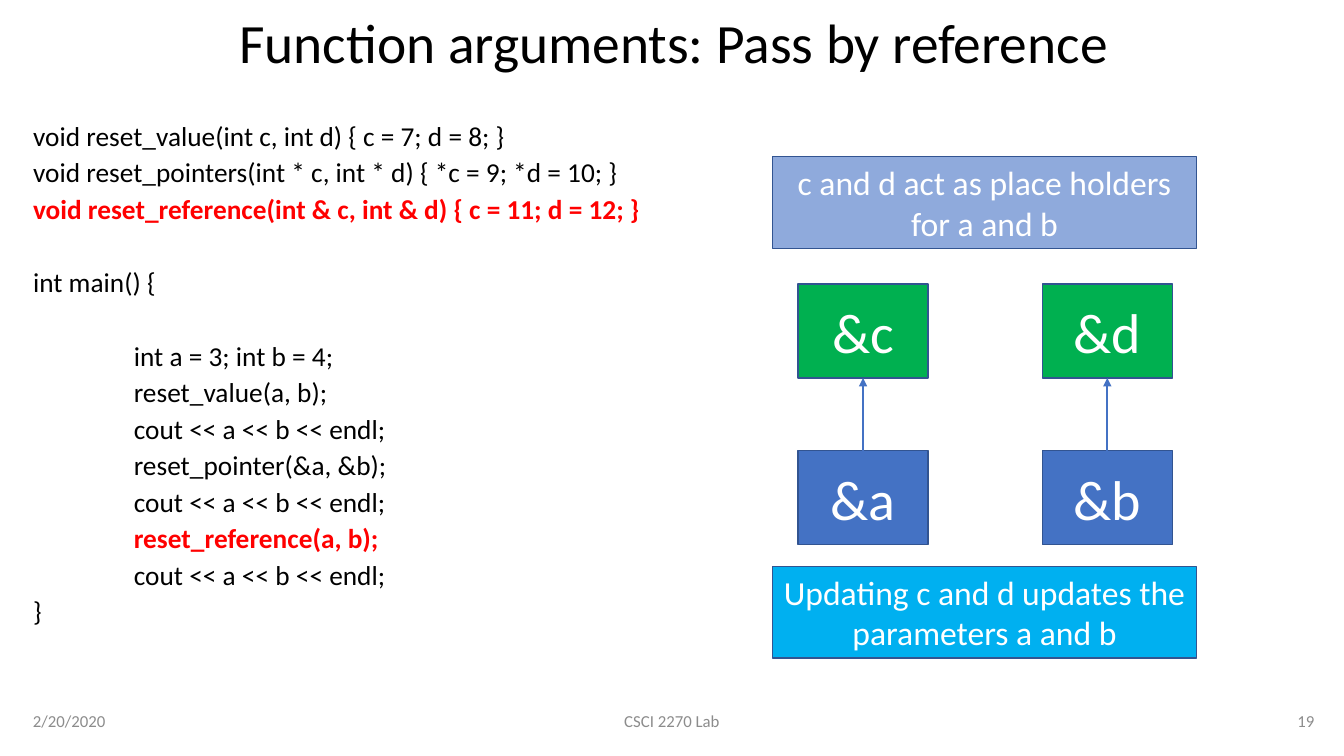
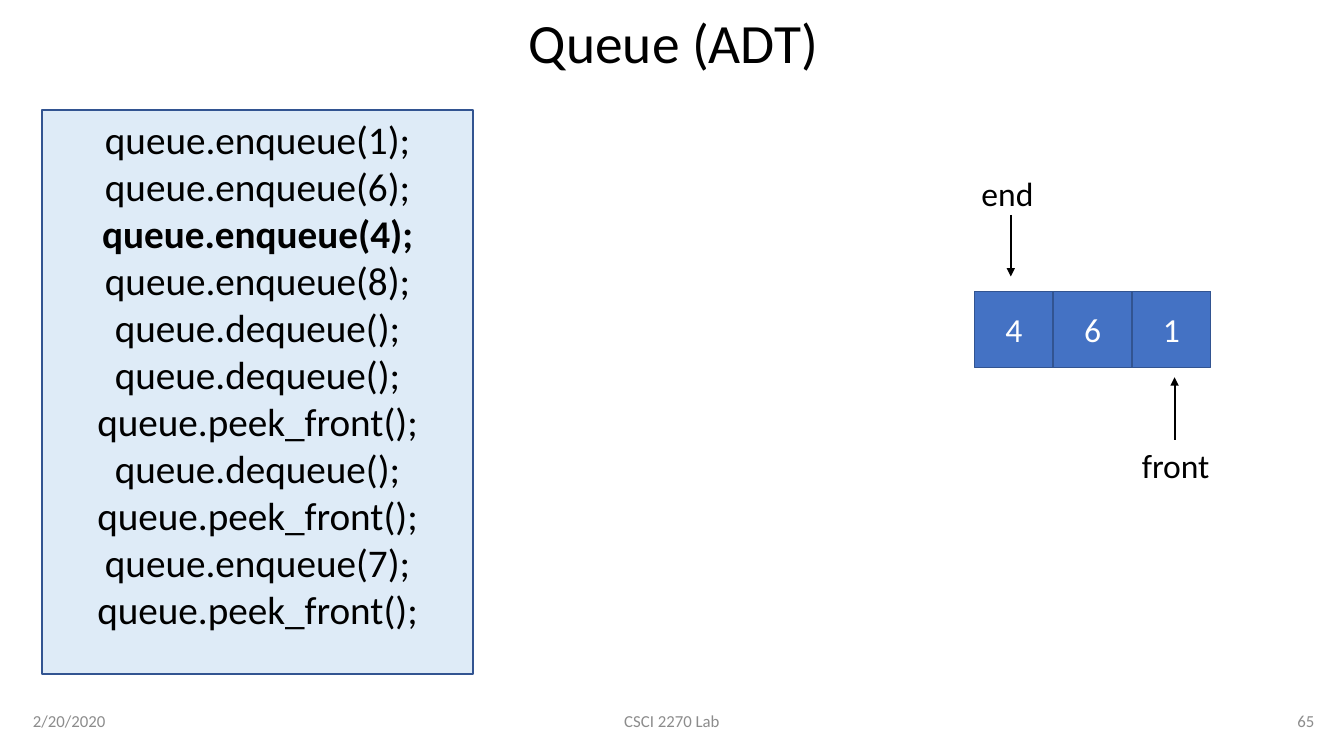
"""Build two lecture slides on pass by reference and the queue ADT."""
import dataclasses

import lxml.etree
import pptx
import pptx.dml.color
import pptx.enum.shapes
import pptx.enum.text
import pptx.oxml.ns
import pptx.util

Pt = pptx.util.Pt
ALIGN = pptx.enum.text.PP_ALIGN
ANCHOR = pptx.enum.text.MSO_ANCHOR


@dataclasses.dataclass(frozen=True)
class Theme:
    font: str = "Calibri"
    ink: str = "000000"
    paper: str = "FFFFFF"
    muted: str = "8C8C8C"
    accent: str = "FF0000"
    outline: str = "325491"
    blue: str = "4472C4"
    green: str = "00B050"
    periwinkle: str = "8FAADC"
    sky: str = "00B0F0"
    pale: str = "DEEBF7"
    title: float = 39.6
    node: float = 40
    listing: float = 28
    label: float = 24
    code: float = 19.5
    footer: float = 12


THEME = Theme()
FOOTER_TOP, FOOTER_HEIGHT = 500, 29
CODE_SPACING, CODE_GAP, CODE_BLANK_GAP = 0.7, 9.7, 36.1
CODE_INDENT = 72

FUNCTIONS = [
    "void reset_value(int c, int d) { c = 7; d = 8; }",
    "void reset_pointers(int * c, int * d) { *c = 9; *d = 10; }",
    "void reset_reference(int & c, int & d) { c = 11; d = 12; }",
]
MAIN_BODY = [
    "int a = 3; int b = 4;",
    "reset_value(a, b);",
    "cout << a << b << endl;",
    "reset_pointer(&a, &b);",
    "cout << a << b << endl;",
    "reset_reference(a, b);",
    "cout << a << b << endl;",
]
QUEUE_CALLS = [
    "queue.enqueue(1);",
    "queue.enqueue(6);",
    "queue.enqueue(4);",
    "queue.enqueue(8);",
    "queue.dequeue();",
    "queue.dequeue();",
    "queue.peek_front();",
    "queue.dequeue();",
    "queue.peek_front();",
    "queue.enqueue(7);",
    "queue.peek_front();",
]


def rgb(color):
    return pptx.dml.color.RGBColor.from_string(color)


def place(sp, left, top, width, height):
    sp.left, sp.top, sp.width, sp.height = map(Pt, (left, top, width, height))


def style(p, size, color, align=ALIGN.LEFT, bold=False):
    p.alignment = align
    p.font.name = THEME.font
    p.font.size = Pt(size)
    p.font.bold = bold
    p.font.color.rgb = rgb(color)


def write(tf, lines, size, color, align=ALIGN.LEFT, anchor=ANCHOR.TOP, bold=()):
    tf.word_wrap = True
    tf.auto_size = pptx.enum.text.MSO_AUTO_SIZE.NONE
    tf.vertical_anchor = anchor
    tf.text = "\n".join(lines)
    for p in tf.paragraphs:
        style(p, size, color, align, p.text in bold)


def add_text(s, text, box, size, color, align=ALIGN.LEFT, anchor=ANCHOR.TOP):
    sp = s.shapes.add_textbox(*map(Pt, box))
    write(sp.text_frame, [text], size, color, align, anchor)


def add_box(s, lines, box, fill, size, color=THEME.paper, anchor=ANCHOR.MIDDLE, bold=()):
    sp = s.shapes.add_shape(pptx.enum.shapes.MSO_SHAPE.RECTANGLE, *map(Pt, box))
    sp.shadow.inherit = False
    sp.fill.solid()
    sp.fill.fore_color.rgb = rgb(fill)
    sp.line.color.rgb = rgb(THEME.outline)
    sp.line.width = Pt(1)
    write(sp.text_frame, lines, size, color, ALIGN.CENTER, anchor, bold)


def add_arrow(s, x, start, end, color):
    cxn = s.shapes.add_connector(
        pptx.enum.shapes.MSO_CONNECTOR.STRAIGHT, Pt(x), Pt(start), Pt(x), Pt(end))
    cxn.line.color.rgb = rgb(color)
    cxn.line.width = Pt(1.5)
    qn = pptx.oxml.ns.qn
    ln = cxn.line._get_or_add_ln()
    lxml.etree.SubElement(ln, qn("a:tailEnd"), type="triangle")
    lxml.etree.SubElement(cxn._element.spPr, qn("a:effectLst"))


def add_code(s, box):
    rows = [(text, 0, False) for text in FUNCTIONS]
    rows.append(("int main() {", 0, True))
    rows += [(text, CODE_INDENT, i == 0) for i, text in enumerate(MAIN_BODY)]
    rows.append(("}", 0, False))
    tf = s.shapes.add_textbox(*map(Pt, box)).text_frame
    write(tf, [text for text, _, _ in rows], THEME.code, THEME.ink)
    tf.margin_top = 0
    for i, (p, (text, indent, after_blank)) in enumerate(zip(tf.paragraphs, rows)):
        p.line_spacing = CODE_SPACING
        p.space_before = Pt(0 if i == 0 else CODE_BLANK_GAP if after_blank else CODE_GAP)
        p._p.get_or_add_pPr().set("marL", str(Pt(indent)))
        if "reset_reference" in text:
            style(p, THEME.code, THEME.accent, bold=True)


def add_slide(prs, title, number):
    s = prs.slides.add_slide(prs.slide_layouts[5])
    sp = s.shapes.title
    place(sp, 16.5, 11, 929.5, 43)
    write(sp.text_frame, [title], THEME.title, THEME.ink, ALIGN.CENTER, ANCHOR.MIDDLE)
    sp.text_frame.paragraphs[0].line_spacing = 0.9
    for text, left, width, align in (
        ("2/20/2020", 16.5, 216, ALIGN.LEFT),
        ("CSCI 2270 Lab", 318, 324, ALIGN.CENTER),
        (str(number), 730, 216, ALIGN.RIGHT),
    ):
        add_text(s, text, (left, FOOTER_TOP, width, FOOTER_HEIGHT),
                 THEME.footer, THEME.muted, align, ANCHOR.MIDDLE)
    return s


def build_reference_slide(prs):
    s = add_slide(prs, "Function arguments: Pass by reference", 19)
    add_code(s, (16.5, 91.4, 500, 390))
    width, height, upper, lower = 93, 67, 203, 322
    for left, holder, argument in ((570, "&c", "&a"), (744.5, "&d", "&b")):
        add_box(s, [argument], (left, lower, width, height), THEME.blue, THEME.node)
        add_box(s, [holder], (left, upper, width, height), THEME.green, THEME.node)
        add_arrow(s, left + width / 2, lower, upper + height, THEME.blue)
    for text, top, fill in (
        ("c and d act as place holders for a and b", 112, THEME.periwinkle),
        ("Updating c and d updates the parameters a and b", 404.5, THEME.sky),
    ):
        add_box(s, [text], (552, top, 302.5, 65.5), fill, THEME.label)


def build_queue_slide(prs):
    s = add_slide(prs, "Queue (ADT)", 65)
    add_box(s, QUEUE_CALLS, (30, 78.5, 308, 403), THEME.pale, THEME.listing,
            THEME.ink, ANCHOR.TOP, bold=("queue.enqueue(4);",))
    left, top, width, height = 696, 208, 56.3, 54.5
    for i, value in enumerate("461"):
        add_box(s, [value], (left + i * width, top, width, height),
                THEME.blue, THEME.label)
    for text, x, y, arrow_x, start, end in (
        ("end", 694, 120, 722, 153.5, 197.5),
        ("front", 808.5, 314, 839, 314, 269.5),
    ):
        add_text(s, text, (x, y, 71.5, 36), THEME.label, THEME.ink)
        add_arrow(s, arrow_x, start, end, THEME.ink)


def main():
    prs = pptx.Presentation()
    prs.slide_width, prs.slide_height = Pt(960), Pt(540)
    build_reference_slide(prs)
    build_queue_slide(prs)
    prs.save("out.pptx")


if __name__ == "__main__":
    main()
